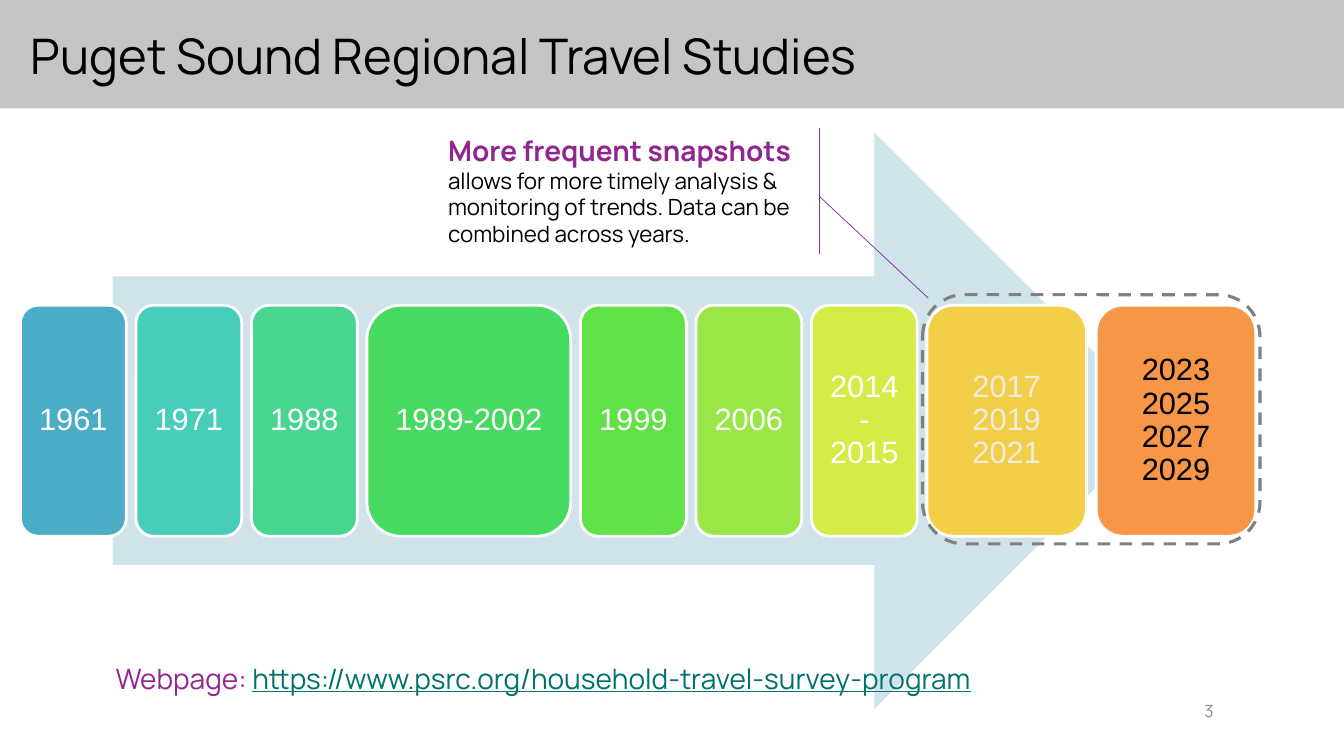
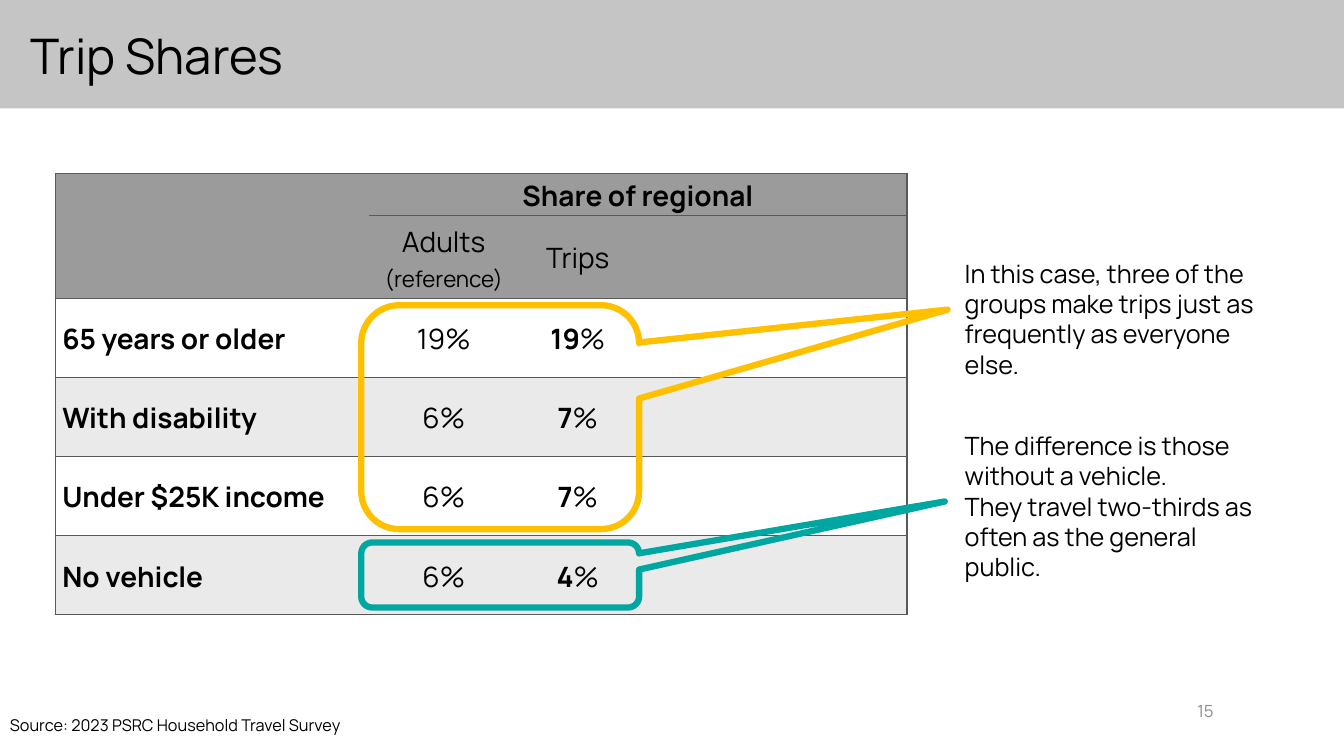
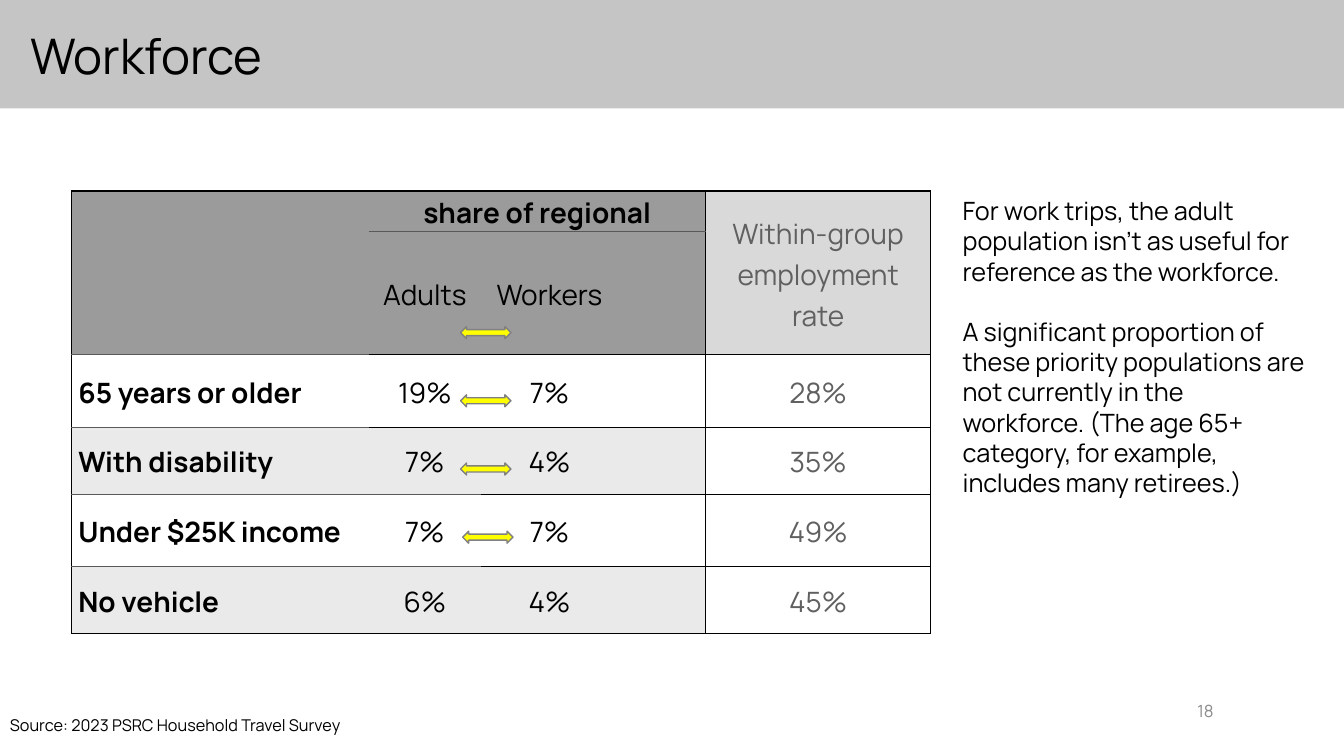
from lxml import etree
from pptx import Presentation
from pptx.dml.color import RGBColor
from pptx.enum import dml, shapes, text
from pptx.oxml.ns import qn
from pptx.util import Pt

COLORS = {
    "band": "C5C5C5", "black": "000000", "white": "FFFFFF", "number": "8C8C8C",
    "arrow": "D0E3EA", "purple": "91268F", "callout": "7030A0", "link": "00726D",
    "dash": "808080", "cream": "EEECE1", "head": "9B9B9B", "stripe": "EAEAEA",
    "rate_head": "D9D9D9", "rate": "606060", "rule": "595959",
    "amber": "FFC000", "teal": "00A7A0", "yellow": "FFFF00",
    "1961": "4BACC6", "1971": "49CDBB", "1988": "48D491", "1989-2002": "47DA61",
    "1999": "60E146", "2006": "98E746", "2014-2015": "D5EC46",
    "2017": "F2CF46", "2023": "F79646",
}
FONT = {"name": "Manrope", "size": 18, "color": "black"}
CELL_FONT = {**FONT, "size": 20}
CENTER = {"alignment": text.PP_ALIGN.CENTER}
MIDDLE = text.MSO_ANCHOR.MIDDLE
SHAPE = shapes.MSO_SHAPE
GROUPS = ["65 years or older", "With disability", "Under $25K income", "No vehicle"]
SOURCE = "Source: 2023 PSRC Household Travel Survey"


def rgb(name):
    return RGBColor.from_string(COLORS[name])


def set_font(font, fmt):
    for key, value in fmt.items():
        if key == "color":
            font.color.rgb = rgb(value)
        else:
            setattr(font, key, Pt(value) if key == "size" else value)


def write(tf, paras, font, para=None):
    """Fill a frame; a paragraph is a string or a list of (text, font changes)."""
    for i, runs in enumerate(paras):
        p = tf.paragraphs[0] if i == 0 else tf.add_paragraph()
        for key, value in (para or {}).items():
            if key != "space_before" or i:
                setattr(p, key, value)
        for words, changes in [(runs, {})] if isinstance(runs, str) else runs:
            r = p.add_run()
            r.text = words
            set_font(r.font, {**font, **changes})


def add_text(slide, box, paras, font=FONT, para=None, anchor=text.MSO_ANCHOR.TOP):
    tf = slide.shapes.add_textbox(*map(Pt, box)).text_frame
    tf.word_wrap = True
    tf.vertical_anchor = anchor
    write(tf, paras, font, para)


def add_shape(slide, kind, box, fill=None, line=None, width=1, adjust=()):
    sp = slide.shapes.add_shape(kind, *map(Pt, box))
    sp.shadow.inherit = False
    for i, value in enumerate(adjust):
        sp.adjustments[i] = value
    if fill:
        sp.fill.solid()
        sp.fill.fore_color.rgb = rgb(fill)
    else:
        sp.fill.background()
    if line:
        sp.line.color.rgb = rgb(line)
        sp.line.width = Pt(width)
    else:
        sp.line.fill.background()
    return sp


def add_slide(prs, title, number, source=None):
    slide = prs.slides.add_slide(prs.slide_layouts[6])
    add_shape(slide, SHAPE.RECTANGLE, (0, 0, 960, 77.5), "band")
    add_text(slide, (15, 18, 828, 48), [title], {**FONT, "size": 35},
             {"line_spacing": 0.9}, MIDDLE)
    add_text(slide, (832, 493, 42, 29), [str(number)],
             {**FONT, "size": 12, "color": "number"},
             {"alignment": text.PP_ALIGN.RIGHT}, MIDDLE)
    if source:
        add_text(slide, (0, 511, 286, 25), [source], {**FONT, "size": 11.6},
                 {"line_spacing": 0.7})
    return slide


def add_edge(cell, side, color):
    ln = etree.SubElement(cell._tc.get_or_add_tcPr(), qn(f"a:ln{side}"), w=str(Pt(1)))
    if color:
        fill = etree.SubElement(ln, qn("a:solidFill"))
        etree.SubElement(fill, qn("a:srgbClr"), val=COLORS[color])
    else:
        etree.SubElement(ln, qn("a:noFill"))


def add_table(slide, origin, cols, rows, merges):
    frame = slide.shapes.add_table(len(rows), len(cols), *map(Pt, origin),
                                   Pt(sum(cols)), Pt(sum(rows)))
    table = frame.table
    for col, width in zip(table.columns, cols):
        col.width = Pt(width)
    for row, height in zip(table.rows, rows):
        row.height = Pt(height)
    for first, last in merges:
        table.cell(*first).merge(table.cell(*last))
    return table


def draw_edges(table, line, verticals, tall, muted):
    """Rule the table: tall columns skip the first rule, muted counts the grey cells of each later one."""
    last = len(table.rows)

    def horizontal(b, c):
        if b == 1:
            return None if c in tall else "rule"
        return "rule" if 1 < b < last and c < muted[b - 2] else line

    def vertical(b):
        return line if b in verticals else None

    for r in range(last):
        for c in range(len(table.columns)):
            cell = table.cell(r, c)
            high, wide = (cell.span_height, cell.span_width) if cell.is_merge_origin else (1, 1)
            for side, color in (("L", vertical(c)), ("R", vertical(c + wide)),
                                ("T", horizontal(r, c)), ("B", horizontal(r + high, c))):
                add_edge(cell, side, color)


def fill_cells(table, contents, rate_col=None):
    for r, row in enumerate(contents):
        for c, paras in enumerate(row):
            cell = table.cell(r, c)
            for key, value in {"margin_left": Pt(5), "margin_right": Pt(5), "margin_top": 0,
                               "margin_bottom": 0, "vertical_anchor": MIDDLE}.items():
                setattr(cell, key, value)
            is_rate = c == rate_col
            if r < 2:
                fill = "rate_head" if is_rate else "head"
            else:
                fill = "stripe" if r % 2 and not is_rate else "white"
            cell.fill.solid()
            cell.fill.fore_color.rgb = rgb(fill)
            font = {**CELL_FONT, "color": "rate" if is_rate else "black",
                    "bold": (r == 0 or c == 0) and not is_rate}
            write(cell.text_frame, paras, font,
                  {"line_spacing": 1.07, **(CENTER if c or r < 2 else {})})


def build_studies(prs):
    slide = add_slide(prs, "Puget Sound Regional Travel Studies", 3)
    add_shape(slide, SHAPE.RIGHT_ARROW, (80.5, 94.5, 750, 412), "arrow")
    narrow, middle, wide, gap = 75.6, 114, 145.6, 6.9
    tiles = [
        ("1961", narrow), ("1971", narrow), ("1988", narrow), ("1989-2002", wide),
        ("1999", narrow), ("2006", narrow), ("2014-2015", narrow),
        ("2017 2019 2021", middle), ("2023 2025 2027 2029", middle),
    ]
    left = 14.6
    for years, width in tiles:
        sp = add_shape(slide, SHAPE.ROUNDED_RECTANGLE, (left, 218, width, 165),
                       years.split()[0], "white", 2)
        tf = sp.text_frame
        tf.word_wrap = True
        tf.vertical_anchor = MIDDLE
        for side in ("left", "right", "top", "bottom"):
            setattr(tf, f"margin_{side}", Pt(6.5))
        color = {"2017": "cream", "2023": "black"}.get(years[:4], "white")
        paras = years.split() if color == "black" else [years]
        write(tf, paras, {"name": "Arial", "size": 22, "color": color},
              {**CENTER, "line_spacing": 0.9})
        left += width + gap
    frame = add_shape(slide, SHAPE.ROUNDED_RECTANGLE, (659, 210.5, 241, 178),
                      line="dash", width=2.25)
    frame.line.dash_style = dml.MSO_LINE.DASH
    add_text(slide, (313, 91.5, 268.5, 90), [[
        ("More frequent snapshots", {"size": 20, "color": "purple", "bold": True}),
        (" allows for more timely analysis & monitoring of trends. "
         "Data can be combined across years.", {"size": 16}),
    ]])
    callout = add_shape(slide, SHAPE.LINE_CALLOUT_1_ACCENT_BAR, (504, 91.5, 78, 90),
                        line="callout", width=0.5, adjust=(0.46, -0.04, -0.35, -1.04))
    callout.rotation = 180
    add_text(slide, (75.5, 469, 693, 32), [[
        ("Webpage: ", {"color": "purple"}),
        ("https://www.psrc.org/household-travel-survey-program",
         {"color": "link", "underline": True}),
    ]], CELL_FONT)


def build_trips(prs):
    slide = add_slide(prs, "Trip Shares", 15, SOURCE)
    table = add_table(slide, (39.5, 124), [224, 107, 84.5, 102, 91], [30, 59] + [56.5] * 4,
                      [((0, 0), (1, 0)), ((0, 1), (0, 4))])
    draw_edges(table, "rule", {0, 5}, {0}, [0] * 4)
    shares = [("19", "19"), ("6", "7"), ("6", "7"), ("6", "4")]
    fill_cells(table, [
        [[], ["Share of regional"], [], [], []],
        [[], ["Adults", [("(reference)", {"size": 16})]], ["Trips"], [], []],
        *([[group], [adults + "%"], [[(trips, {"bold": True}), ("%", {})]], [], []]
          for group, (adults, trips) in zip(GROUPS, shares)),
    ])
    for top, height, color, tip in ((218, 160, "amber", (1.61, -0.48)),
                                    (387.5, 46.5, "teal", (1.6, -1.13))):
        add_shape(slide, SHAPE.ROUNDED_RECTANGULAR_CALLOUT, (258, top, 198.5, height),
                  line=color, width=4.5, adjust=(*tip, 0.17))
    add_text(slide, (682, 181, 238, 94), [
        "In this case, three of the groups make trips just as frequently as everyone else."])
    add_text(slide, (682, 304, 223, 117), [
        "The difference is those without a vehicle.",
        "They travel two-thirds as often as the general public."])


def build_workforce(prs):
    slide = add_slide(prs, "Workforce", 18, SOURCE)
    table = add_table(slide, (51, 136.5), [212.5, 80, 98, 62.5, 161],
                      [29, 88, 52, 47.5, 52, 47.5],
                      [((0, 0), (1, 0)), ((0, 1), (0, 3)), ((0, 4), (1, 4))])
    draw_edges(table, "black", {0, 4, 5}, {0, 4}, [1, 1, 2, 2])
    shares = [(19, 7, 28), (7, 4, 35), (7, 7, 49), (6, 4, 45)]
    fill_cells(table, [
        [[], ["share of regional"], [], [], ["Within-group employment rate"]],
        [[], ["Adults"], ["Workers"], [], []],
        *([[group], [f"{adults}%"], [f"{workers}%"], [], [f"{rate}%"]]
          for group, (adults, workers, rate) in zip(GROUPS, shares)),
    ], rate_col=4)
    add_text(slide, (680.5, 136, 262, 247), [
        "For work trips, the adult population isn’t as useful for reference as the workforce.",
        "A significant proportion of these priority populations are not currently in the "
        "workforce. (The age 65+ category, for example, includes many retirees.)",
    ], para={"space_before": Pt(21.6)})
    for i, left in enumerate((329, 329, 329, 330.5)):
        add_shape(slide, SHAPE.LEFT_RIGHT_ARROW, (left, 233.3 + 48.7 * i, 36, 8.6),
                  "yellow", "dash")


def main():
    prs = Presentation()
    prs.slide_width, prs.slide_height = Pt(960), Pt(540)
    build_studies(prs)
    build_trips(prs)
    build_workforce(prs)
    prs.save("out.pptx")


if __name__ == "__main__":
    main()
